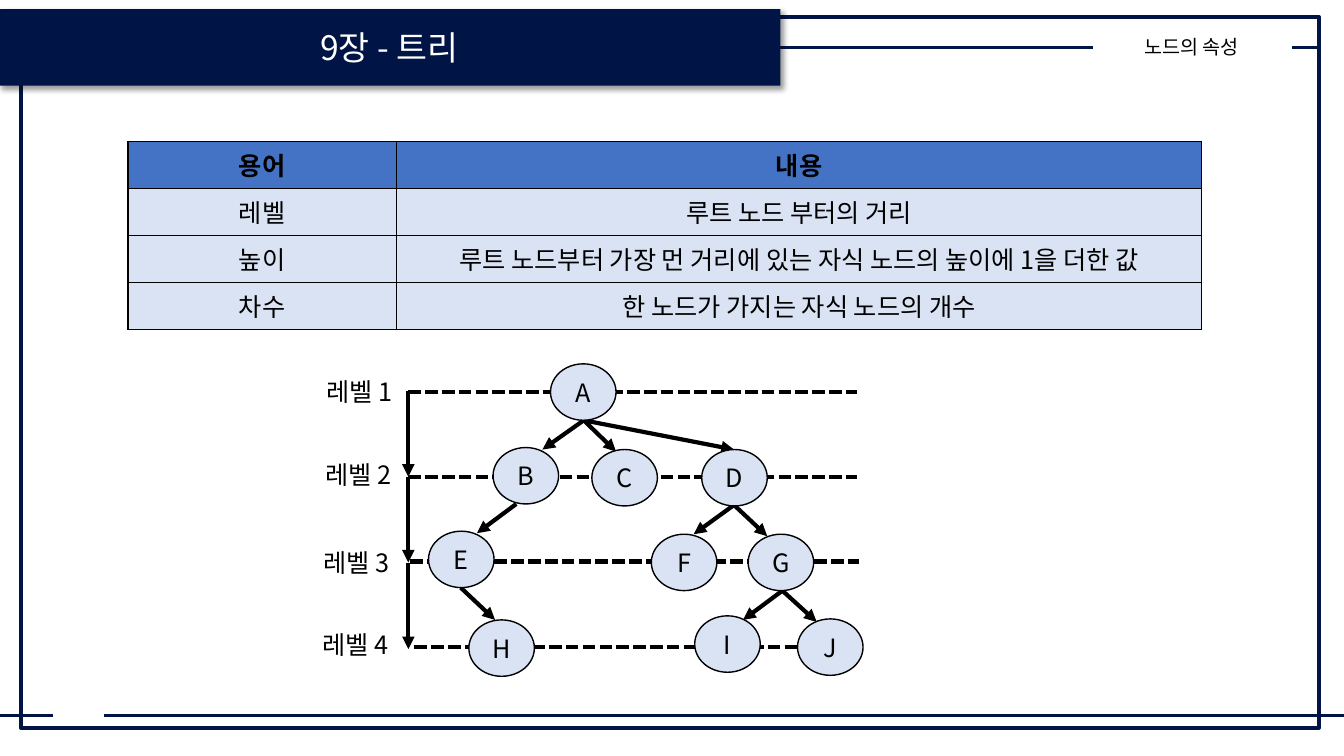
from lxml import etree
from pptx import Presentation
from pptx.dml.color import RGBColor
from pptx.enum import dml, shapes, text
from pptx.oxml import parse_xml
from pptx.oxml.ns import qn
from pptx.util import Inches, Pt

HUES = {"navy": "001545", "black": "000000", "white": "FFFFFF",
        "head": "4472C4", "pale": "DAE3F3"}
FONT = "Noto Sans CJK KR"
NS = 'xmlns:a="http://schemas.openxmlformats.org/drawingml/2006/main"'
SHADE = (f'<a:effectLst {NS}><a:outerShdw blurRad="50800" dist="38100" dir="2700000">'
         '<a:srgbClr val="000000"><a:alpha val="40000"/></a:srgbClr>'
         '</a:outerShdw></a:effectLst>')
EDGE = ('<a:{0} {1} w="12700"><a:solidFill><a:srgbClr val="{2}"/>'
        '</a:solidFill></a:{0}>')


def hue(name):
    return RGBColor.from_string(HUES[name])


class Pen:
    """Draws styled elements on the current slide or group."""

    def __init__(self, slide):
        self.slide = slide
        self.pad = slide.shapes

    def words(self, frame, line, size=18, color="black", bold=False, align="CENTER"):
        frame.text = line
        para = frame.paragraphs[0]
        para.alignment = getattr(text.PP_ALIGN, align)
        font = para.runs[0].font
        for key, val in {"name": FONT, "size": Pt(size), "bold": bold}.items():
            setattr(font, key, val)
        font.color.rgb = hue(color)
        etree.SubElement(font._element, qn("a:ea")).set("typeface", FONT)

    def line(self, start, end, color="black", width=3, dash=False, arrow=False):
        link = self.pad.add_connector(shapes.MSO_CONNECTOR.STRAIGHT,
                                      *map(Inches, start + end))
        link.line.color.rgb = hue(color)
        link.line.width = Pt(width)
        if dash:
            link.line.dash_style = dml.MSO_LINE.SQUARE_DOT
        if arrow:
            stroke = link._element.spPr.find(qn("a:ln"))
            etree.SubElement(stroke, qn("a:tailEnd")).set("type", "triangle")
        etree.SubElement(link._element.spPr, qn("a:effectLst"))

    def shape(self, kind, box, fill=None, color="black", width=1):
        form = self.pad.add_shape(getattr(shapes.MSO_SHAPE, kind), *map(Inches, box))
        form.shadow.inherit = False
        if fill:
            form.fill.solid()
            form.fill.fore_color.rgb = hue(fill)
        else:
            form.fill.background()
        form.line.color.rgb = hue(color)
        form.line.width = Pt(width)
        return form

    def node(self, name, left, top):
        frame = self.shape("OVAL", (left, top, 0.65, 0.56), "pale").text_frame
        frame.vertical_anchor = text.MSO_ANCHOR.MIDDLE
        self.words(frame, name)

    def label(self, line, box, **style):
        frame = self.pad.add_textbox(*map(Inches, box)).text_frame
        frame.word_wrap = True
        self.words(frame, line, **style)

    def title(self, line, box):
        """Turns the title placeholder into the banner, above what is drawn so far."""
        bar = self.slide.shapes.title
        for key, val in zip(("left", "top", "width", "height"), box):
            setattr(bar, key, Inches(val))
        bar.fill.solid()
        bar.fill.fore_color.rgb = hue("navy")
        bar.line.fill.background()
        bar._element.spPr.append(parse_xml(SHADE))
        bar.text_frame.vertical_anchor = text.MSO_ANCHOR.MIDDLE
        self.words(bar.text_frame, line, 24, "white")
        self.slide.shapes._spTree.append(bar._element)

    def table(self, rows, box, widths):
        grid = self.pad.add_table(len(rows), len(widths), *map(Inches, box)).table
        for col, width in zip(grid.columns, widths):
            col.width = Inches(width)
        for r, row in enumerate(rows):
            for c, line in enumerate(row):
                cell = grid.cell(r, c)
                self.words(cell.text_frame, line, bold=r == 0)
                props = cell._tc.get_or_add_tcPr()
                for side in ("lnL", "lnR", "lnT", "lnB"):
                    props.append(parse_xml(EDGE.format(side, NS, HUES["black"])))
                cell.fill.solid()
                cell.fill.fore_color.rgb = hue("pale" if r else "head")


TERMS = [("용어", "내용"),
         ("레벨", "루트 노드 부터의 거리"),
         ("높이", "루트 노드부터 가장 먼 거리에 있는 자식 노드의 높이에 1을 더한 값"),
         ("차수", "한 노드가 가지는 자식 노드의 개수")]
NODES = {"A": (5.46, 3.61), "B": (4.89, 4.44), "C": (5.87, 4.46), "D": (6.96, 4.46),
         "E": (4.25, 5.27), "F": (6.46, 5.3), "G": (7.42, 5.3),
         "H": (4.65, 6.15), "I": (6.89, 6.11), "J": (7.91, 6.14)}
# Foot of each parent, with the arrow tips at its children
FANS = {(5.79, 4.17): [(5.38, 4.46), (6.11, 4.48), (7.28, 4.46)],
        (5.12, 5): [(4.73, 5.29)],
        (4.57, 5.83): [(4.91, 6.15)],
        (7.28, 5.01): [(6.88, 5.3), (7.61, 5.32)],
        (7.76, 5.86): [(7.37, 6.15), (8.1, 6.17)]}
LEVELS = [(4.05, 3.89), (4.05, 4.73), (4.07, 5.57), (4.11, 6.42)]
LABELS = [(3.14, 3.68), (3.13, 4.51), (3.11, 5.38), (3.1, 6.19)]


def main():
    deck = Presentation()
    deck.slide_width, deck.slide_height = Inches(13.33), Inches(7.5)
    slide = deck.slides.add_slide(deck.slide_layouts[5])
    pen = Pen(slide)

    for left, y in LEVELS:
        pen.line((left, y), (left + 4.45, y), dash=True)

    pen.shape("RECTANGLE", (0.21, 0.17, 12.87, 7.05), color="navy", width=3)
    for y, start, end in ((0.47, 10.84, -0.02), (0.47, 13.1, 12.81),
                          (7.1, 13.33, 1.03), (7.1, 0.53, 0)):
        pen.line((start, y), (end, y), "navy", 2)
    pen.title("9장 - 트리", (-0.02, 0.09, 7.76, 0.76))
    pen.label("노드의 속성", (10.56, 0.3, 2.52, 0.34), size=14)

    pen.pad = slide.shapes.add_group_shape().shapes
    for foot, tips in FANS.items():
        for tip in tips:
            pen.line(foot, tip, arrow=True)
    for name, spot in NODES.items():
        pen.node(name, *spot)
    pen.pad = slide.shapes

    pen.table(TERMS, (1.27, 1.4, 10.65, 1.87), (2.66, 7.99))
    for top in (3.88, 4.73, 5.59):
        pen.line((4.05, top), (4.05, top + 0.85), arrow=True)
    for level, spot in enumerate(LABELS, 1):
        pen.label(f"레벨 {level}", spot + (0.86, 0.4), align="LEFT")

    deck.save("out.pptx")


if __name__ == "__main__":
    main()
